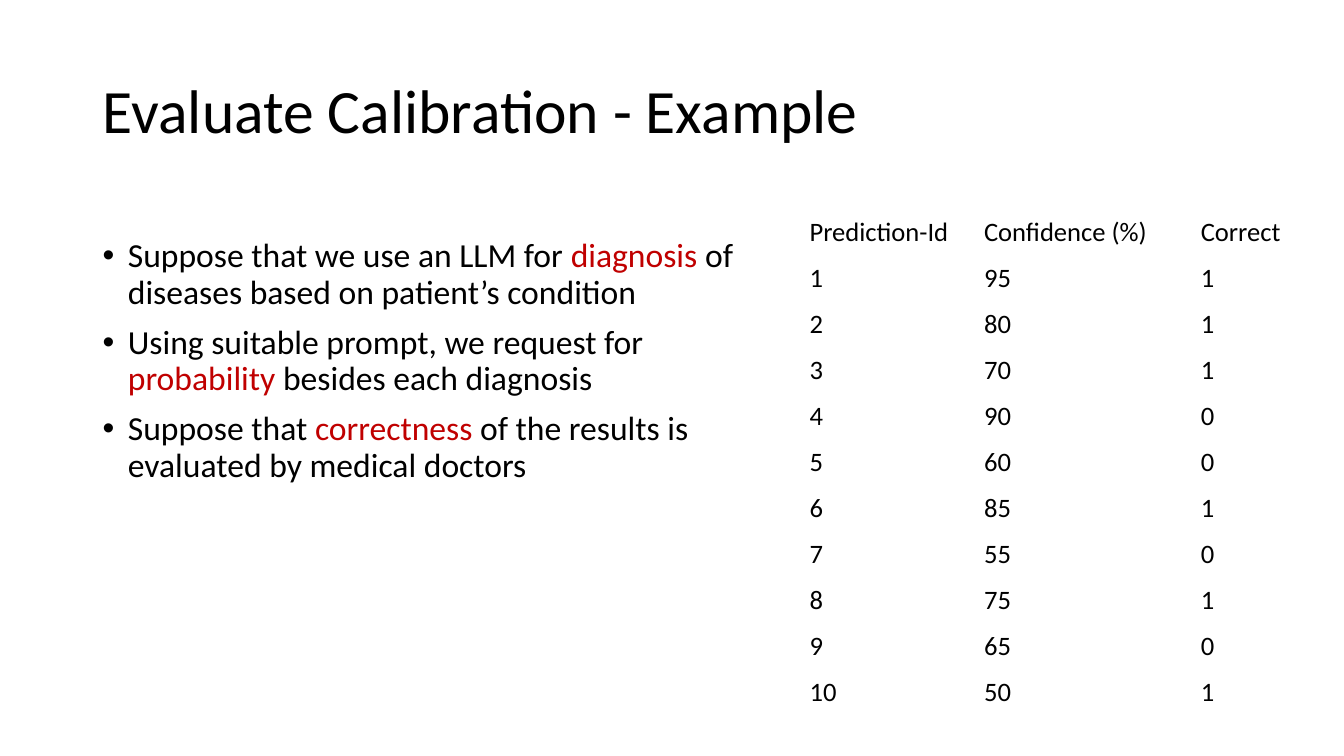
import pptx
import pptx.dml.color
import pptx.enum.text
import pptx.util
from lxml import etree
from pptx.util import Inches

BLACK, RED = "000000", "C00000"


def add_run(p, text, size, color=BLACK):
    r = p.add_run()
    r.text = text
    r.font.name = "Calibri"
    r.font.size = pptx.util.Pt(size)
    r.font.bold = False
    r.font.color.rgb = pptx.dml.color.RGBColor.from_string(color)


prs = pptx.Presentation()
prs.slide_width, prs.slide_height = Inches(13.33), Inches(7.5)
s = prs.slides.add_slide(prs.slide_layouts[5])

# Title
title = s.shapes.title
title.left, title.top = Inches(0.92), Inches(0.4)
title.width, title.height = Inches(11.5), Inches(1.45)
tf = title.text_frame
tf.vertical_anchor = pptx.enum.text.MSO_ANCHOR.MIDDLE
p = tf.paragraphs[0]
p.alignment = pptx.enum.text.PP_ALIGN.LEFT
p.line_spacing = 0.9
add_run(p, "Evaluate Calibration - Example", 44)

# Predictions table
predictions = [
    ("Prediction-Id", "Confidence (%)", "Correct"),
    (1, 95, 1), (2, 80, 1), (3, 70, 1), (4, 90, 0), (5, 60, 0),
    (6, 85, 1), (7, 55, 0), (8, 75, 1), (9, 65, 0), (10, 50, 1),
]
row_height = Inches(5.02 / len(predictions))
table = s.shapes.add_table(len(predictions), 3, Inches(7.93), Inches(2.08),
                           Inches(5.22), Inches(5.02)).table
table.first_row = table.horz_banding = False
for column, width in zip(table.columns, (1.73, 2.15, 1.35)):
    column.width = Inches(width)
for row, values in zip(table.rows, predictions):
    row.height = row_height
    for cell, value in zip(row.cells, values):
        cell.fill.background()
        cell.vertical_anchor = pptx.enum.text.MSO_ANCHOR.MIDDLE
        add_run(cell.text_frame.paragraphs[0], str(value), 19)

# Bullets: text before, highlighted word, text after
bullets = [
    ("Suppose that we use an LLM for ", "diagnosis",
     " of diseases based on patient’s condition"),
    ("Using suitable prompt, we request for ", "probability",
     " besides each diagnosis"),
    ("Suppose that ", "correctness",
     " of the results is evaluated by medical doctors"),
]
body = s.shapes.add_textbox(Inches(0.92), Inches(2.32), Inches(6.89), Inches(3.89))
tf = body.text_frame
tf.word_wrap = True
for i, texts in enumerate(bullets):
    p = tf.add_paragraph() if i else tf.paragraphs[0]
    p.line_spacing = 0.9
    if i:
        p.space_before = pptx.util.Pt(10)
    pPr = p._p.get_or_add_pPr()
    pPr.set("marL", str(Inches(0.25)))
    pPr.set("indent", str(Inches(-0.25)))
    etree.SubElement(pPr, pptx.oxml.ns.qn("a:buFont"), typeface="Arial")
    etree.SubElement(pPr, pptx.oxml.ns.qn("a:buChar"), char="•")
    for text, color in zip(texts, (BLACK, RED, BLACK)):
        add_run(p, text, 24, color)

prs.save("out.pptx")
